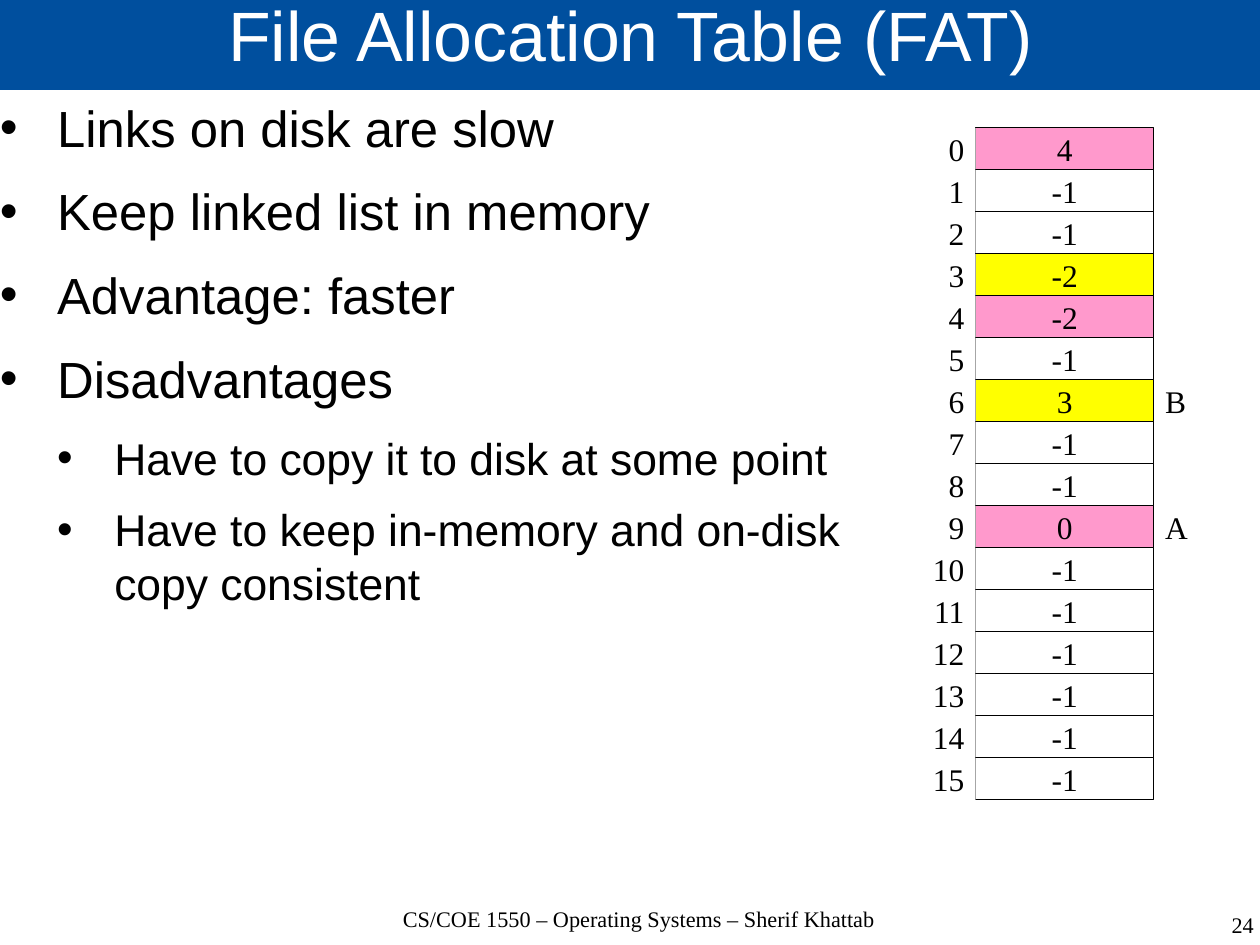
from lxml import etree
from pptx import Presentation
from pptx.dml.color import RGBColor
from pptx.enum.shapes import MSO_SHAPE
from pptx.enum.text import MSO_ANCHOR, PP_ALIGN
from pptx.oxml.ns import qn
from pptx.util import Cm, Inches, Pt

RECTANGLE = MSO_SHAPE.RECTANGLE
TOP, MIDDLE = MSO_ANCHOR.TOP, MSO_ANCHOR.MIDDLE
LEFT, CENTER, RIGHT = PP_ALIGN.LEFT, PP_ALIGN.CENTER, PP_ALIGN.RIGHT

WIDTH, HEIGHT = Cm(28), Cm(21)
SANS, SERIF = "Arial", "Times New Roman"
BLACK, WHITE, BLUE = "000000", "FFFFFF", "004F9E"
PINK, YELLOW = "FF99CC", "FFFF00"

BULLET_STYLES = [{"size": 32, "after": 14.2}, {"size": 28, "after": 11.4}]
BULLETS = [
    (0, "Links on disk are slow"),
    (0, "Keep linked list in memory"),
    (0, "Advantage: faster"),
    (0, "Disadvantages"),
    (1, "Have to copy it to disk at some point"),
    (1, "Have to keep in-memory and on-disk copy consistent"),
]

ENTRIES = [4, -1, -1, -2, -2, -1, 3, -1, -1, 0] + [-1] * 6
FILE_COLORS = {0: PINK, 4: PINK, 9: PINK, 3: YELLOW, 6: YELLOW}
FILE_STARTS = {6: "B", 9: "A"}
TABLE_TOP, TABLE_HEIGHT = 13.52, 71.1
ROW_HEIGHT = TABLE_HEIGHT / len(ENTRIES)
INDEX_COLUMN, ENTRY_COLUMN, FILE_COLUMN = (70.78, 6.65), (77.43, 14.15), (91.58, 6.65)


def color(value):
    """Turn a hex string into a colour."""
    return RGBColor.from_string(value)


def place(left, top, width, height):
    """Turn percentages of the slide into lengths."""
    shares = ((left, WIDTH), (top, HEIGHT), (width, WIDTH), (height, HEIGHT))
    return [round(share * whole / 100) for share, whole in shares]


def set_frame(frame, anchor, wrap, inset=None):
    """Set the anchor, wrapping and optional margins of a text frame."""
    values = {"vertical_anchor": anchor, "word_wrap": wrap}
    if inset is not None:
        sides = ("left", "top", "right", "bottom")
        values.update({f"margin_{side}": inset for side in sides})
    for name, value in values.items():
        setattr(frame, name, value)


def write(para, text, size, font=SERIF, ink=BLACK, **layout):
    """Write one formatted span into a paragraph."""
    for name, value in layout.items():
        setattr(para, name, value)
    span = para.add_run()
    span.text = text
    for name, value in {"size": Pt(size), "name": font}.items():
        setattr(span.font, name, value)
    span.font.color.rgb = color(ink)


def add_box(page, area, fill, outline=None):
    """Add a filled rectangle with an optional thin outline."""
    box = page.shapes.add_shape(RECTANGLE, *place(*area))
    box.shadow.inherit = False
    box.fill.solid()
    box.fill.fore_color.rgb = color(fill)
    if outline:
        box.line.color.rgb = color(outline)
        box.line.width = Pt(0.75)
    else:
        box.line.fill.background()
    return box


def add_title(page, text):
    """Add the title band."""
    frame = add_box(page, (0, -0.24, 100.15, 9.75), BLUE).text_frame
    set_frame(frame, MIDDLE, True, 0)
    write(frame.paragraphs[0], text, 44, SANS, WHITE, alignment=CENTER, line_spacing=0.69)


def add_text(page, area):
    """Add a wrapping text box without margins."""
    frame = page.shapes.add_textbox(*place(*area)).text_frame
    set_frame(frame, TOP, True, 0)
    return frame


def add_bullet(para, level):
    """Give a paragraph a hanging round bullet."""
    properties = para._p.get_or_add_pPr()
    properties.set("marL", str(Inches(0.5 * (level + 1))))
    properties.set("indent", str(Inches(-0.5)))
    bullet_color = etree.SubElement(properties, qn("a:buClr"))
    etree.SubElement(bullet_color, qn("a:srgbClr"), val=BLACK)
    etree.SubElement(properties, qn("a:buFont"), typeface=SANS)
    etree.SubElement(properties, qn("a:buChar"), char="•")


def add_bullets(page):
    """Add the two-level bullet list."""
    frame = add_text(page, (0, 10.23, 70.78, 86.1))
    for number, (level, text) in enumerate(BULLETS):
        para = frame.add_paragraph() if number else frame.paragraphs[0]
        style = BULLET_STYLES[level]
        write(para, text, style["size"], SANS, level=level, space_after=Pt(style["after"]))
        add_bullet(para, level)


def add_cell(page, column, row, text, align, fill=WHITE, outline=None):
    """Add one cell of the allocation table."""
    left, width = column
    area = (left, TABLE_TOP + row * ROW_HEIGHT, width, ROW_HEIGHT)
    frame = add_box(page, area, fill, outline).text_frame
    set_frame(frame, MIDDLE, False)
    write(frame.paragraphs[0], str(text), 19.8, alignment=align)


def add_allocation_table(page):
    """Add the entries with their indexes and file names."""
    for row, name in FILE_STARTS.items():
        add_cell(page, FILE_COLUMN, row, name, LEFT)
    for row, entry in enumerate(ENTRIES):
        fill = FILE_COLORS.get(row, WHITE)
        add_cell(page, ENTRY_COLUMN, row, entry, CENTER, fill, BLACK)
        add_cell(page, INDEX_COLUMN, row, row, RIGHT)


def add_footer(page, area, text, align):
    """Add one line of footer text."""
    para = add_text(page, area).paragraphs[0]
    write(para, text, 14, alignment=align, line_spacing=0.96)


def main():
    """Build and save the slide."""
    deck = Presentation()
    deck.slide_width, deck.slide_height = WIDTH, HEIGHT
    page = deck.slides.add_slide(deck.slide_layouts[6])
    add_title(page, "File Allocation Table (FAT)")
    add_bullets(page)
    course = "CS/COE 1550 – Operating Systems – Sherif Khattab"
    add_footer(page, (27.85, 96.03, 45.72, 6.65), course, CENTER)
    add_footer(page, (76.56, 96.64, 22.95, 6.65), "24", RIGHT)
    add_allocation_table(page)
    deck.save("out.pptx")


if __name__ == "__main__":
    main()
